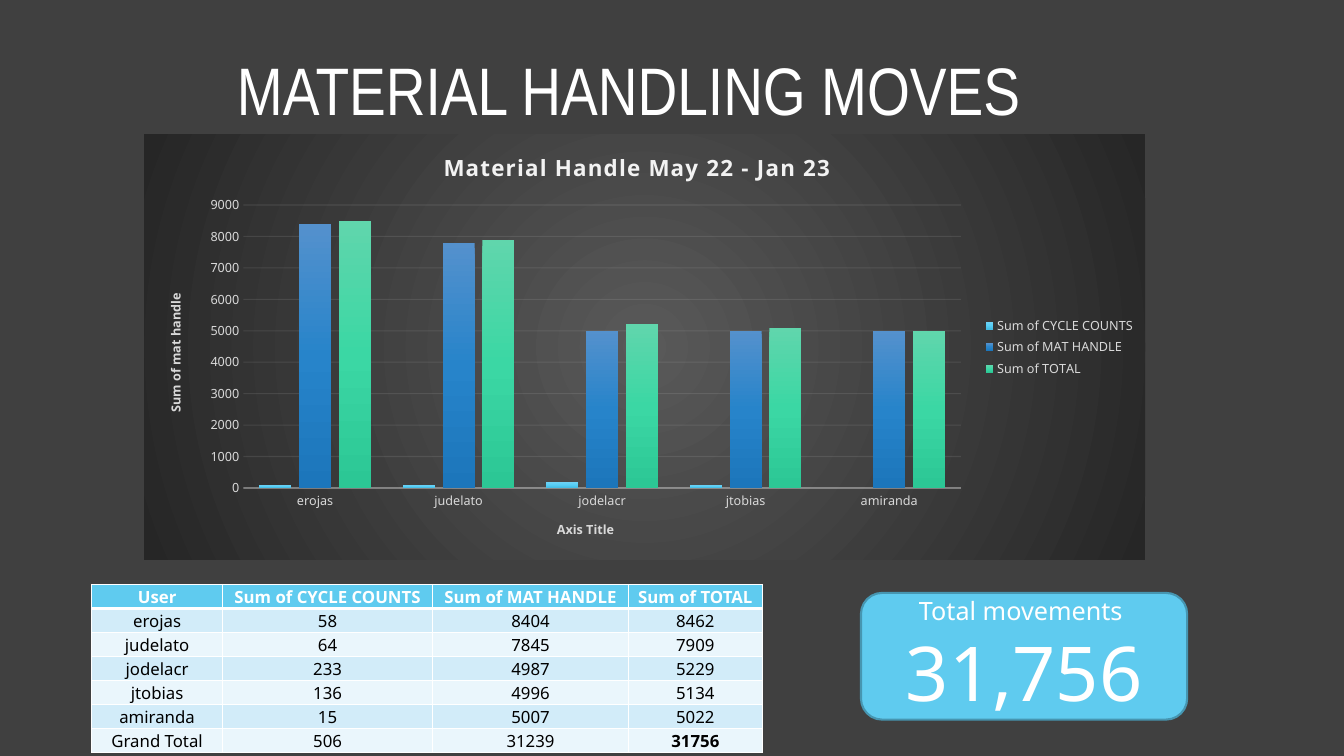
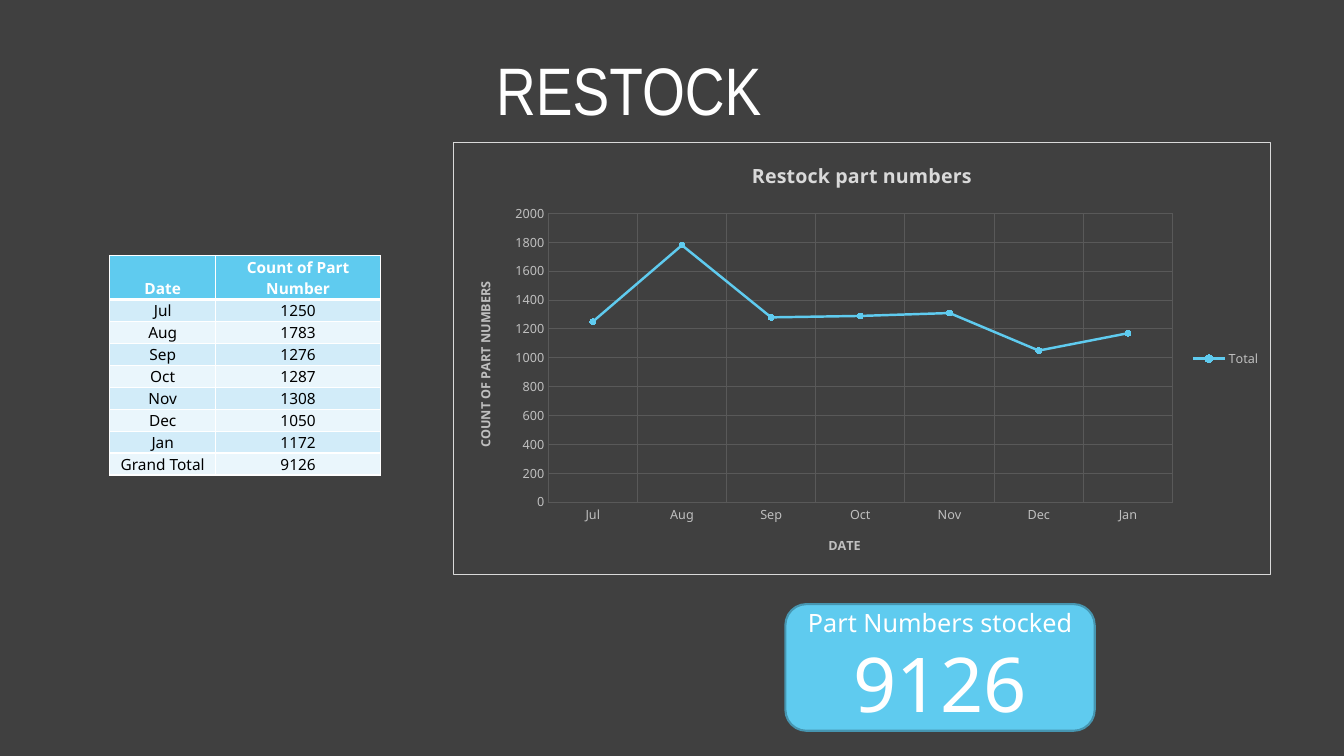
from dataclasses import dataclass

import lxml.etree
import pptx
import pptx.chart.data
import pptx.dml.color
import pptx.enum.chart
import pptx.enum.shapes
import pptx.enum.text
import pptx.oxml.ns
import pptx.util

Pt = pptx.util.Pt
qn = pptx.oxml.ns.qn
CHART = pptx.enum.chart
ANCHOR = pptx.enum.text.MSO_ANCHOR
CENTER = pptx.enum.text.PP_ALIGN.CENTER


@dataclass(frozen=True)
class Theme:
    title_font: str = "Arial Narrow"
    font: str = "Noto Sans"
    background: str = "404040"
    white: str = "FFFFFF"
    black: str = "000000"
    accent: str = "5FCBEF"
    accent_dark: str = "4696B1"
    bands: tuple = ("D2ECF9", "EAF6FC")
    pale: str = "F2F2F2"
    light: str = "D9D9D9"
    muted: str = "BFBFBF"
    grid: str = "595959"
    glow: tuple = ("595959", "262626")
    bars: tuple = (("75D1F3", "58CFF6", "45BCE3"),
                   ("5491CD", "2784CA", "1C76BB"),
                   ("60D6AC", "3BD7A4", "2CC795"))
    title_size: float = 48
    number_size: float = 54
    label_size: float = 18
    axis_size: float = 9


T = Theme()

MOVES_HEAD = ["User", "Sum of CYCLE COUNTS", "Sum of MAT HANDLE", "Sum of TOTAL"]
MOVES = [["erojas", 58, 8404, 8462],
         ["judelato", 64, 7845, 7909],
         ["jodelacr", 233, 4987, 5229],
         ["jtobias", 136, 4996, 5134],
         ["amiranda", 15, 5007, 5022]]
MOVES_TOTAL = ["Grand Total", 506, 31239, 31756]

RESTOCK_HEAD = ["Date", "Count of Part Number"]
RESTOCK = [["Jul", 1250], ["Aug", 1783], ["Sep", 1276], ["Oct", 1287],
           ["Nov", 1308], ["Dec", 1050], ["Jan", 1172]]
RESTOCK_TOTAL = ["Grand Total", 9126]


# Basics
def rgb(color):
    return pptx.dml.color.RGBColor.from_string(color)


def box(*lengths):
    return [Pt(v) for v in lengths]


def set_font(font, size, color, bold=False, name=T.font):
    font.size, font.bold, font.name = Pt(size), bold, name
    font.color.rgb = rgb(color)


def add_run(p, text, size, color, bold=False, name=T.font):
    r = p.add_run()
    r.text = text
    set_font(r.font, size, color, bold, name)
    return r


def set_line(line, color, width):
    line.color.rgb = rgb(color)
    line.width = Pt(width)


def sub(parent, tag, **attrs):
    return lxml.etree.SubElement(parent, qn(tag), attrs)


def fade(element, percent):
    for clr in element.iter(qn("a:srgbClr")):
        sub(clr, "a:alpha", val=str(percent * 1000))


def add_gradient(sp_pr, colors, radial=False):
    grad = sub(sp_pr, "a:gradFill", rotWithShape="1")
    stops = sub(grad, "a:gsLst")
    for i, color in enumerate(colors):
        gs = sub(stops, "a:gs", pos=str(100000 * i // (len(colors) - 1)))
        sub(gs, "a:srgbClr", val=color)
    if radial:
        circle = sub(grad, "a:path", path="circle")
        sub(circle, "a:fillToRect", **dict.fromkeys("ltrb", "50000"))
    else:
        sub(grad, "a:lin", ang="5400000", scaled="0")


# Slide title and number card
def add_title(slide, text):
    tf = slide.shapes.add_textbox(*box(167, 26, 564.5, 70)).text_frame
    tf.word_wrap = True
    tf.vertical_anchor = ANCHOR.BOTTOM
    tf.margin_left = tf.margin_right = 0
    p = tf.paragraphs[0]
    p.alignment = CENTER
    add_run(p, text, T.title_size, T.white, name=T.title_font)


def add_card(slide, place, label, number):
    kind = pptx.enum.shapes.MSO_SHAPE.ROUNDED_RECTANGLE
    sp = slide.shapes.add_shape(kind, *box(*place))
    sp.shadow.inherit = False
    sp.fill.solid()
    sp.fill.fore_color.rgb = rgb(T.accent)
    set_line(sp.line, T.accent_dark, 1.5)
    tf = sp.text_frame
    tf.word_wrap = True
    tf.vertical_anchor = ANCHOR.MIDDLE
    for p, text, size in ((tf.paragraphs[0], label, T.label_size),
                          (tf.add_paragraph(), number, T.number_size)):
        p.alignment = CENTER
        add_run(p, text, size, T.white)


# Tables
def style_cell(cell, text, size, fill, color, bold, bottom):
    cell.margin_left = cell.margin_right = cell.margin_top = Pt(0.75)
    cell.margin_bottom = 0
    cell.vertical_anchor = ANCHOR.BOTTOM
    tc_pr = cell._tc.get_or_add_tcPr()
    for side, width in (("L", 1), ("R", 1), ("T", 1), ("B", bottom)):
        ln = sub(tc_pr, "a:ln" + side, w=str(Pt(width)))
        sub(sub(ln, "a:solidFill"), "a:srgbClr", val=T.white)
    cell.fill.solid()
    cell.fill.fore_color.rgb = rgb(fill)
    p = cell.text_frame.paragraphs[0]
    p.alignment = CENTER
    add_run(p, str(text), size, color, bold)


def add_table(slide, left, top, widths, head_height, row_height, size, rows,
              bold_total=False):
    height = head_height + row_height * (len(rows) - 1)
    place = box(left, top, sum(widths), height)
    table = slide.shapes.add_table(len(rows), len(widths), *place).table
    for column, width in zip(table.columns, widths):
        column.width = Pt(width)
    for i, row in enumerate(rows):
        head = i == 0
        table.rows[i].height = Pt(head_height if head else row_height)
        for j, text in enumerate(row):
            is_total = (i, j) == (len(rows) - 1, len(widths) - 1)
            style_cell(table.cell(i, j), text, size,
                       T.accent if head else T.bands[(i - 1) % 2],
                       T.white if head else T.black,
                       head or (bold_total and is_total),
                       3 if head else 1)


# Charts
def set_layout(element, x, y, w=None, h=None):
    """Place a chart part by percentages of the chart's size."""
    old = element.find(qn("c:layout"))
    if old is not None:
        element.remove(old)
    layout = lxml.etree.Element(qn("c:layout"))
    manual = sub(layout, "c:manualLayout")
    if w:
        sub(manual, "c:layoutTarget", val="inner")
    for key in ("xMode", "yMode"):
        sub(manual, "c:" + key, val="edge")
    for key, value in zip("xywh", (x, y, w, h)):
        if value:
            sub(manual, "c:" + key, val=f"{value / 100:.3f}")
    tx = element.find(qn("c:tx"))
    if tx is None:
        element.insert(0, layout)
    else:
        tx.addnext(layout)


def add_chart_title(title, text, size, color, place):
    tf = title.text_frame
    r = add_run(tf.paragraphs[0], text, size, color, True)
    set_layout(title._element, *place)
    return tf, r


def style_axis(axis, title, color, place):
    axis.major_tick_mark = axis.minor_tick_mark = CHART.XL_TICK_MARK.NONE
    set_font(axis.tick_labels.font, T.axis_size, color)
    axis.format.line.fill.background()
    return add_chart_title(axis.axis_title, title, T.axis_size, color, place)[0]


def add_chart(slide, kind, place, head, rows, digits, names, color, plot,
              cat_title, val_title):
    data = pptx.chart.data.CategoryChartData()
    data.categories = [row[0] for row in rows]
    for i, name in enumerate(names, 1):
        data.add_series(name, [round(row[i], digits) for row in rows])
    chart = slide.shapes.add_chart(kind, *box(*place), data).chart
    set_font(chart.font, 10, T.black)
    chart.has_title = True
    r = add_chart_title(chart.chart_title, *head)[1]
    style_axis(chart.category_axis, cat_title[0], color, cat_title[1:])
    tf = style_axis(chart.value_axis, val_title[0], color, val_title[1:])
    body = tf._txBody.bodyPr
    body.set("rot", "-5400000")
    body.set("vert", "horz")
    chart.has_legend = True
    chart.legend.position = CHART.XL_LEGEND_POSITION.RIGHT
    chart.legend.include_in_layout = False
    set_font(chart.legend.font, T.axis_size, color)
    chart.plots[0].vary_by_categories = False
    set_layout(chart._chartSpace.chart.plotArea, *plot)
    # Chart area, to be filled by the caller
    area = lxml.etree.Element(qn("c:spPr"))
    chart._chartSpace.chart.addnext(area)
    return chart, area, r


def add_moves_chart(slide):
    chart, area, r = add_chart(
        slide, CHART.XL_CHART_TYPE.COLUMN_CLUSTERED, (103, 96, 715, 304),
        ("Material Handle May 22 - Jan 23", 16, T.pale, (29.5, 2.8)),
        MOVES, -2, MOVES_HEAD[1:], T.light, (9.9, 16.6, 71.7, 66.5),
        ("Axis Title", 41, 90), ("Sum of mat handle", 1.9, 36.8))
    r._r.get_or_add_rPr().set("spc", "100")
    add_gradient(area, T.glow, radial=True)
    sub(sub(area, "a:ln"), "a:noFill")
    plot = chart.plots[0]
    plot.gap_width, plot.overlap = 100, -24
    for series, colors in zip(plot.series, T.bars):
        add_gradient(series._element.get_or_add_spPr(), colors)
    cat, val = chart.category_axis, chart.value_axis
    set_line(cat.format.line, T.pale, 1)
    fade(cat._element.find(qn("c:spPr")), 54)
    set_line(val.major_gridlines.format.line, T.pale, 0.75)
    fade(val._element.find(qn("c:majorGridlines")), 10)
    val.maximum_scale, val.major_unit = 9000, 1000


def add_restock_chart(slide):
    chart, area, _ = add_chart(
        slide, CHART.XL_CHART_TYPE.LINE_MARKERS, (323.5, 101.5, 584.5, 309.5),
        ("Restock part numbers", 14, T.light, (36.1, 3.3)),
        RESTOCK, -1, ["Total"], T.muted, (11.6, 16.4, 76.4, 66.8),
        ("DATE", 45.6, 90.3), ("COUNT OF PART NUMBERS", 2.4, 31.6))
    sub(sub(area, "a:solidFill"), "a:srgbClr", val=T.background)
    border = sub(area, "a:ln", w=str(Pt(0.75)))
    sub(sub(border, "a:solidFill"), "a:srgbClr", val=T.light)
    for axis in (chart.category_axis, chart.value_axis):
        set_line(axis.major_gridlines.format.line, T.grid, 0.75)
    chart.value_axis.minimum_scale = 0
    chart.value_axis.maximum_scale, chart.value_axis.major_unit = 2000, 200
    series = chart.plots[0].series[0]
    series.smooth = False
    set_line(series.format.line, T.accent, 1.75)
    marker = series.marker
    marker.style, marker.size = CHART.XL_MARKER_STYLE.CIRCLE, 4
    marker.format.fill.solid()
    marker.format.fill.fore_color.rgb = rgb(T.accent)
    set_line(marker.format.line, T.accent, 0.75)


def main():
    prs = pptx.Presentation()
    prs.slide_width, prs.slide_height = box(960, 540)
    fill = prs.slide_master.background.fill
    fill.solid()
    fill.fore_color.rgb = rgb(T.background)
    blank = prs.slide_layouts[6]

    # Material handling
    s = prs.slides.add_slide(blank)
    add_title(s, "MATERIAL HANDLING MOVES")
    add_card(s, (615, 423.5, 233, 90.5), "Total movements ", f"{MOVES_TOTAL[-1]:,}")
    add_moves_chart(s)
    add_table(s, 65.5, 417.5, (93.5, 150, 140, 95.5), 17.14, 17.14, 12,
              [MOVES_HEAD, *MOVES, MOVES_TOTAL], bold_total=True)

    # Restock
    s = prs.slides.add_slide(blank)
    add_title(s, "RESTOCK")
    add_card(s, (561, 431.5, 221, 90.5), "Part Numbers stocked", str(RESTOCK_TOTAL[-1]))
    add_restock_chart(s)
    add_table(s, 78.5, 182.5, (75.5, 118), 31.4, 15.7, 11,
              [RESTOCK_HEAD, *RESTOCK, RESTOCK_TOTAL])

    prs.save("out.pptx")


if __name__ == "__main__":
    main()
